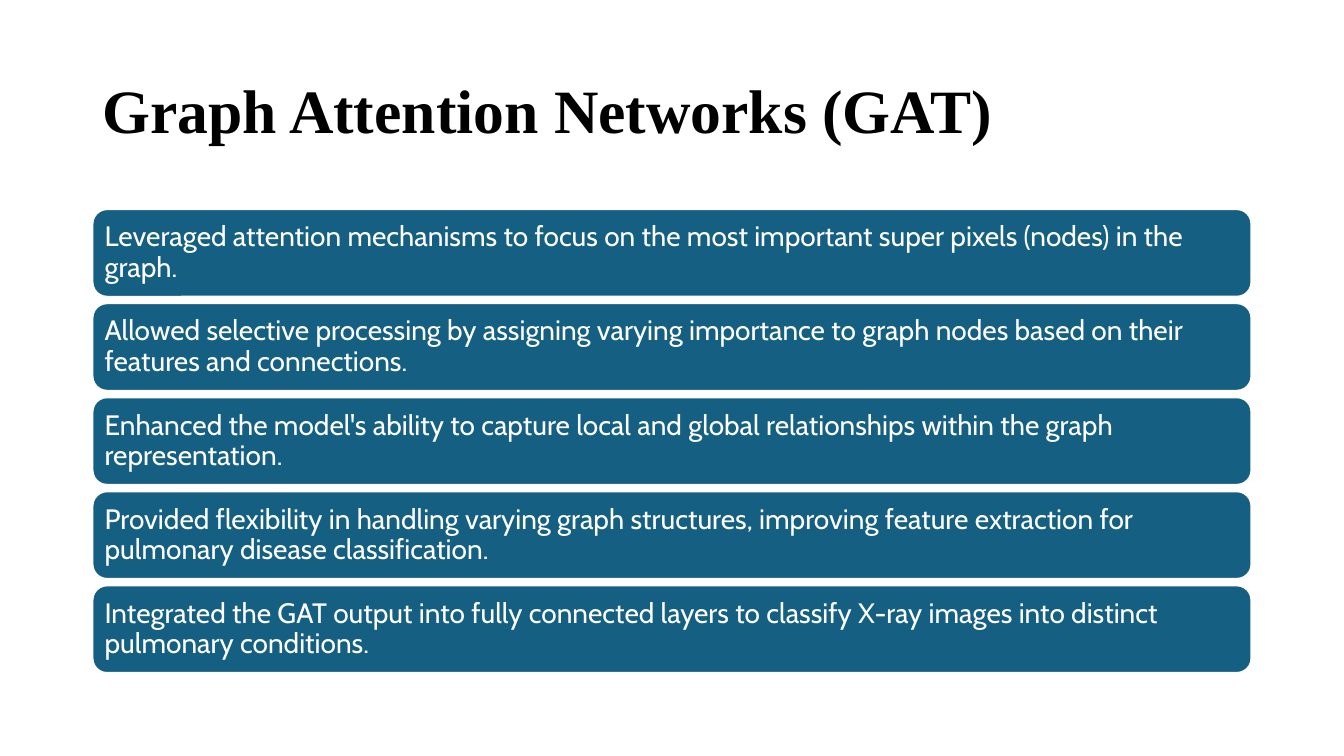
from dataclasses import dataclass

from pptx import Presentation
from pptx.dml.color import RGBColor
from pptx.enum import shapes, text
from pptx.util import Cm, Pt


@dataclass(frozen=True)
class Theme:
    ink: RGBColor = RGBColor.from_string("000000")
    paper: RGBColor = RGBColor.from_string("FFFFFF")
    bar: RGBColor = RGBColor.from_string("156082")
    title_font: str = "Times New Roman"
    body_font: str = "Cabin"
    title_size: Pt = Pt(44)
    body_size: Pt = Pt(20)


theme = Theme()

CONTRIBUTIONS = [
    "Leveraged attention mechanisms to focus on the most important super pixels (nodes) in the graph.",
    "Allowed selective processing by assigning varying importance to graph nodes based on their features and connections.",
    "Enhanced the model's ability to capture local and global relationships within the graph representation.",
    "Provided flexibility in handling varying graph structures, improving feature extraction for pulmonary disease classification.",
    "Integrated the GAT output into fully connected layers to classify X-ray images into distinct pulmonary conditions.",
]
LEFT, WIDTH = Cm(2.33), Cm(29.21)
FIRST_TOP, BAR_HEIGHT, BAR_PITCH = Cm(5.27), Cm(2.21), Cm(2.37)


def write(frame, wording, font_name, size, color, bold=False):
    """Fill a frame with one left-aligned, vertically centred paragraph."""
    frame.word_wrap = True
    frame.auto_size = text.MSO_AUTO_SIZE.NONE
    frame.vertical_anchor = text.MSO_ANCHOR.MIDDLE
    paragraph = frame.paragraphs[0]
    paragraph.alignment = text.PP_ALIGN.LEFT
    paragraph.line_spacing = 0.9
    run = paragraph.add_run()
    run.text = wording
    run.font.name = font_name
    run.font.size = size
    run.font.bold = bold
    run.font.color.rgb = color


prs = Presentation()
prs.slide_width, prs.slide_height = Cm(33.87), Cm(19.05)
slide = prs.slides.add_slide(prs.slide_layouts.get_by_name("Title Only"))

heading = slide.shapes.title
heading.left, heading.top, heading.width, heading.height = LEFT, Cm(1.01), WIDTH, Cm(3.68)
write(heading.text_frame, "Graph Attention Networks (GAT)",
      theme.title_font, theme.title_size, theme.ink, bold=True)

for row, contribution in enumerate(CONTRIBUTIONS):
    bar = slide.shapes.add_shape(shapes.MSO_SHAPE.ROUNDED_RECTANGLE, LEFT,
                                 FIRST_TOP + row * BAR_PITCH, WIDTH, BAR_HEIGHT)
    bar.shadow.inherit = False
    bar.fill.solid()
    bar.fill.fore_color.rgb = theme.bar
    bar.line.color.rgb = theme.paper
    bar.line.width = Pt(1.5)
    frame = bar.text_frame
    frame.margin_left = frame.margin_right = frame.margin_top = frame.margin_bottom = Cm(0.2)
    write(frame, contribution, theme.body_font, theme.body_size, theme.paper)

prs.save("out.pptx")
